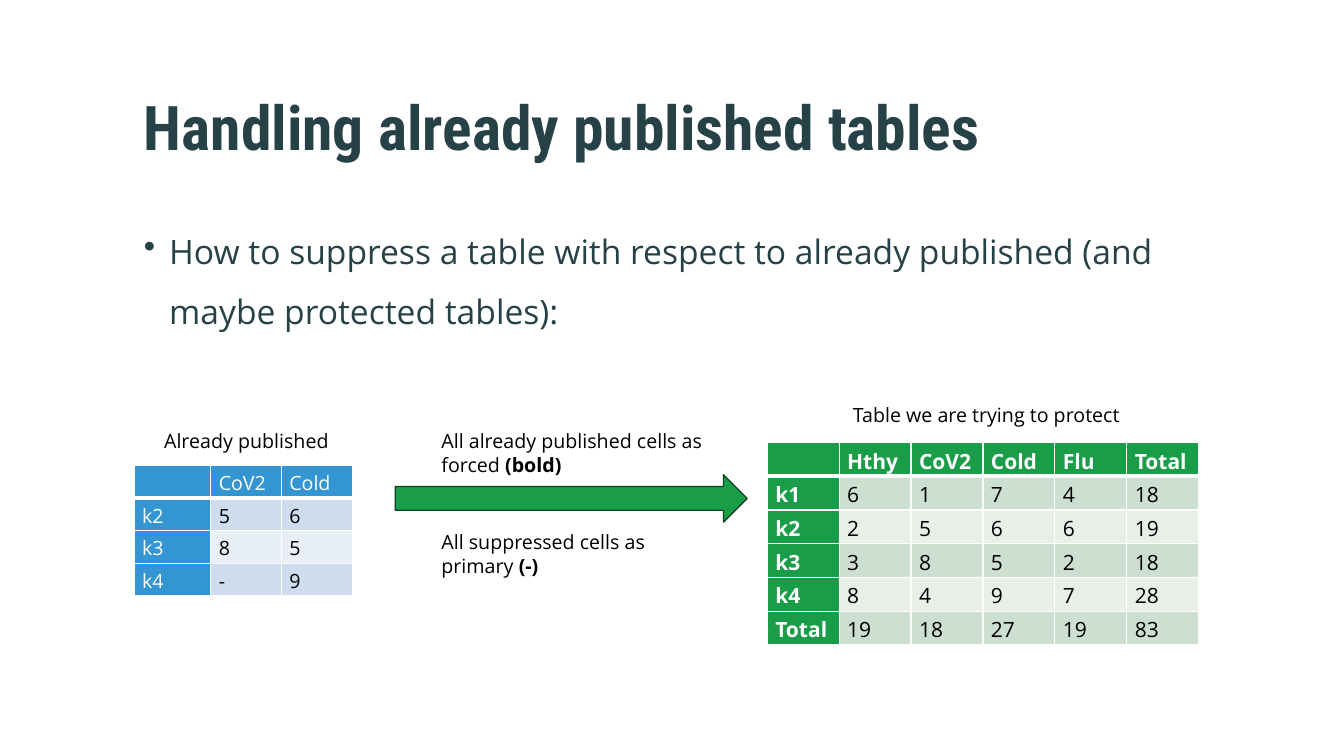
from lxml.etree import SubElement
from pptx import Presentation
from pptx.dml.color import RGBColor
from pptx.enum.shapes import MSO_SHAPE
from pptx.enum.text import MSO_ANCHOR
from pptx.oxml.ns import qn
from pptx.util import Inches, Pt

DARK, BLACK, WHITE = "274247", "000000", "FFFFFF"
GREEN, BLUE = "1A9D49", "3396D2"
SANS, HEAD = "Open Sans", "Roboto Condensed"


def color(code):
    return RGBColor.from_string(code)


def style(para, size, code=BLACK, bold=None, face=SANS):
    font = para.font
    font.name, font.size, font.bold = face, Pt(size), bold
    font.color.rgb = color(code)


def add_text(slide, box, lines, size=14, code=BLACK, bold=None, face=SANS):
    """Each line is a list of (text, bold) runs or a plain string."""
    frame = slide.shapes.add_textbox(*map(Inches, box)).text_frame
    frame.word_wrap = True
    for i, line in enumerate(lines):
        para = frame.add_paragraph() if i else frame.paragraphs[0]
        style(para, size, code, bold, face)
        if isinstance(line, str):
            para.text = line
            continue
        for text, strong in line:
            run = para.add_run()
            run.text, run.font.bold = text, strong
    return frame


def add_title(slide, box):
    frame = add_text(slide, box, ["Handling already published tables"],
                     44, DARK, True, HEAD)
    frame.margin_top = 0
    frame.vertical_anchor = MSO_ANCHOR.MIDDLE
    frame.paragraphs[0].line_spacing = 0.9


def add_body(slide, box):
    text = ("How to suppress a table with respect to already published "
            "(and maybe protected tables):")
    para = add_text(slide, box, [text], 24, DARK).paragraphs[0]
    para.line_spacing, para.space_after = 1.5, Pt(9)
    props = para._p.get_or_add_pPr()
    props.set("marL", str(Inches(0.25)))
    props.set("indent", str(-Inches(0.25)))
    bullet = props.makeelement(qn("a:buChar"), {"char": "•"})
    props.insert(list(props).index(props.find(qn("a:defRPr"))), bullet)


def set_edges(cell, head):
    """White rules, with a heavier one below the head row."""
    props = cell._tc.get_or_add_tcPr()
    for i, side in enumerate(("lnL", "lnR", "lnT", "lnB")):
        width = 3 if head and side == "lnB" else 1
        edge = props.makeelement(qn("a:" + side), {"w": str(Pt(width))})
        fill = SubElement(edge, qn("a:solidFill"))
        SubElement(fill, qn("a:srgbClr"), val=WHITE)
        props.insert(i, edge)


def add_grid(slide, box, data, widths, size, main, bands, bold):
    left, top, width, height = map(Inches, box)
    grid = slide.shapes.add_table(len(data), len(widths),
                                  left, top, width, height).table
    for col, wide in zip(grid.columns, widths):
        col.width = Inches(wide)
    for r, row in enumerate(data):
        for c, text in enumerate(row):
            cell = grid.cell(r, c)
            head = r == 0 or c == 0
            cell.margin_left = cell.margin_right = Inches(0.08)
            cell.margin_top = cell.margin_bottom = Inches(0.04)
            cell.fill.solid()
            cell.fill.fore_color.rgb = color(main if head else bands[(r - 1) % 2])
            set_edges(cell, r == 0)
            para = cell.text_frame.paragraphs[0]
            para.text = text
            style(para, size, WHITE if head else BLACK, head and bold)


def add_known(slide, left, top):
    """The published table under its caption."""
    add_text(slide, (left + 0.2, top, 2.17, 0.34), ["Already published"])
    data = [("", "CoV2", "Cold"), ("k2", "5", "6"),
            ("k3", "8", "5"), ("k4", "-", "9")]
    add_grid(slide, (left, top + 0.41, 2.17, 1.29), data, (0.76, 0.7, 0.71),
             14, BLUE, ("CEDDEE", "E8EFF7"), False)


def add_target(slide, left, top):
    """The table to protect under its caption."""
    add_text(slide, (left + 0.75, top, 2.99, 0.34),
             ["Table we are trying to protect"])
    data = [("", "Hthy", "CoV2", "Cold", "Flu", "Total"),
            ("k1", "6", "1", "7", "4", "18"),
            ("k2", "2", "5", "6", "6", "19"),
            ("k3", "3", "8", "5", "2", "18"),
            ("k4", "8", "4", "9", "7", "28"),
            ("Total", "19", "18", "27", "19", "83")]
    add_grid(slide, (left, top + 0.44, 4.28, 2.01), data, [4.28 / 6] * 6,
             15, GREEN, ("CDDFD0", "E8EFE9"), True)


def add_step(slide, left, top):
    """The arrow between the tables, with a rule above and below."""
    arrow = slide.shapes.add_shape(
        MSO_SHAPE.RIGHT_ARROW,
        *map(Inches, (left, top + 0.5, 3.49, 0.47)))
    arrow.shadow.inherit = False
    arrow.fill.solid()
    arrow.fill.fore_color.rgb = color(GREEN)
    arrow.line.color.rgb = color("0B4520")
    arrow.line.width = Pt(1)
    rules = [("All already published cells as", "forced ", "(bold)"),
             ("All suppressed cells as", "primary ", "(-)")]
    for i, (first, lead, mark) in enumerate(rules):
        add_text(slide, (left + 0.36, top + i, 2.89, 0.57),
                 [first, [(lead, None), (mark, True)]])


def main():
    deck = Presentation()
    deck.slide_width, deck.slide_height = Inches(13.33), Inches(7.5)
    slide = deck.slides.add_slide(deck.slide_layouts[6])
    add_title(slide, (1.33, 0.6, 10.56, 1.43))
    add_body(slide, (1.33, 2.04, 10.56, 4.35))
    add_target(slide, 7.61, 3.95)
    add_known(slide, 1.33, 4.21)
    add_step(slide, 3.92, 4.21)
    deck.save("out.pptx")


if __name__ == "__main__":
    main()
